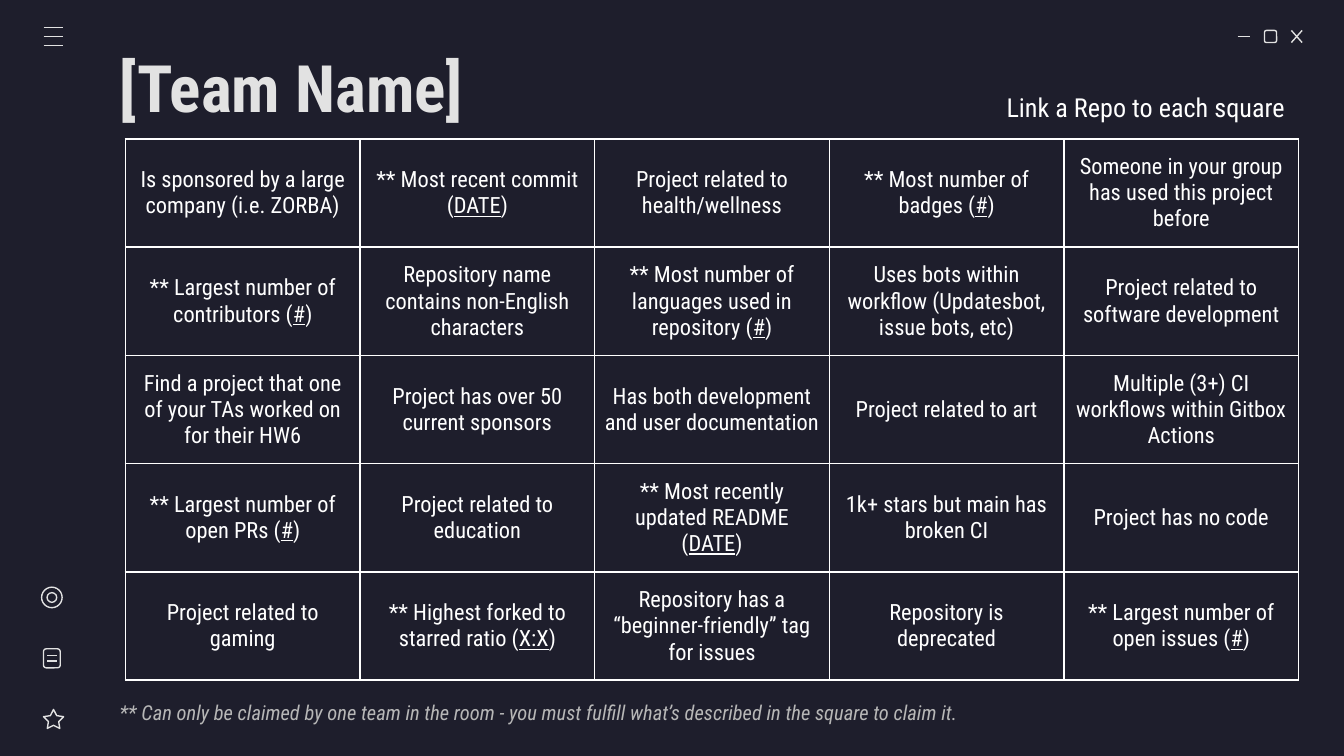
from lxml import etree
from pptx import Presentation
from pptx.dml.color import RGBColor
from pptx.enum.shapes import MSO_CONNECTOR, MSO_SHAPE
from pptx.enum.text import MSO_ANCHOR, PP_ALIGN
from pptx.oxml.ns import qn
from pptx.util import Pt

LINE = MSO_CONNECTOR.STRAIGHT
OVAL, ROUND, STAR = MSO_SHAPE.OVAL, MSO_SHAPE.ROUNDED_RECTANGLE, MSO_SHAPE.STAR_5_POINT
LEFT, MID, RIGHT = PP_ALIGN.LEFT, PP_ALIGN.CENTER, PP_ALIGN.RIGHT
FONT = "Roboto Condensed"
DARK, PALE, WHITE, GREY = "1E1E2C", "E2E2E2", "FFFFFF", "B7B7B7"

# Underscores enclose the underlined part
GOALS = [
    ["Is sponsored by a large company (i.e. ZORBA)",
     "** Most recent commit (_DATE_)",
     "Project related to health/wellness",
     "** Most number of badges (_#_)",
     "Someone in your group has used this project before"],
    ["** Largest number of contributors (_#_)",
     "Repository name contains non-English characters",
     "** Most number of languages used in repository (_#_)",
     "Uses bots within workflow (Updatesbot, issue bots, etc)",
     "Project related to software development"],
    ["Find a project that one of your TAs worked on for their HW6",
     "Project has over 50 current sponsors",
     "Has both development and user documentation",
     "Project related to art",
     "Multiple (3+) CI workflows within Gitbox Actions"],
    ["** Largest number of open PRs (_#_)",
     "Project related to education",
     "** Most recently updated README (_DATE_)",
     "1k+ stars but main has broken CI",
     "Project has no code"],
    ["Project related to gaming",
     "** Highest forked to starred ratio (_X:X_)",
     "Repository has a “beginner-friendly” tag for issues",
     "Repository is deprecated",
     "** Largest number of open issues (_#_)"],
]


def color(code):
    return RGBColor.from_string(code)


def style(para, size, code, align=LEFT, bold=False, italic=False):
    para.alignment = align
    font = para.font
    font.name, font.size, font.bold, font.italic = FONT, Pt(size), bold, italic
    font.color.rgb = color(code)


def stroke(slide, x1, y1, x2, y2):
    line = slide.shapes.add_connector(LINE, Pt(x1), Pt(y1), Pt(x2), Pt(y2))
    line.line.color.rgb = color(PALE)
    line.line.width = Pt(0.75)
    etree.SubElement(line._element.spPr, qn("a:effectLst"))


def outline(slide, kind, x, y, w, h):
    shape = slide.shapes.add_shape(kind, Pt(x), Pt(y), Pt(w), Pt(h))
    shape.shadow.inherit = False
    shape.fill.background()
    shape.line.color.rgb = color(PALE)
    shape.line.width = Pt(0.75)
    return shape


def label(slide, text, x, y, w, h, *look, **flags):
    frame = slide.shapes.add_textbox(Pt(x), Pt(y), Pt(w), Pt(h)).text_frame
    frame.word_wrap = True
    frame.margin_left = frame.margin_right = Pt(7.2)
    frame.margin_top = frame.margin_bottom = Pt(7.2)
    frame.text = text
    style(frame.paragraphs[0], *look, **flags)


def title(slide, text, x, y, w, h):
    shape = slide.shapes.title
    shape.left, shape.top, shape.width, shape.height = Pt(x), Pt(y), Pt(w), Pt(h)
    frame = shape.text_frame
    frame.text = text
    frame.vertical_anchor = MSO_ANCHOR.MIDDLE
    frame.margin_left = frame.margin_right = Pt(7.2)
    frame.margin_top = frame.margin_bottom = Pt(7.2)
    style(frame.paragraphs[0], 35, PALE, bold=True)


def window(slide, x, y):
    # Minimize, maximize, close
    stroke(slide, x, y + 3.2, x + 6.5, y + 3.2)
    outline(slide, ROUND, x + 14.4, y, 6.5, 6.5)
    stroke(slide, x + 28.8, y, x + 34.6, y + 6.5)
    stroke(slide, x + 34.6, y, x + 28.8, y + 6.5)


def menu(slide, x, y, w, gap):
    for i in range(3):
        stroke(slide, x, y + i * gap, x + w, y + i * gap)


def tools(slide, x, y):
    # Target, page, star
    outline(slide, OVAL, x, y, 11, 11)
    outline(slide, OVAL, x + 2.9, y + 2.9, 5.2, 5.2)
    outline(slide, ROUND, x + 1, y + 33, 9, 10.2)
    for dy in (36.7, 39.6):
        stroke(slide, x + 3, y + dy, x + 8, y + dy)
    star = outline(slide, STAR, x + 1, y + 65.5, 10.8, 10.2)
    star.adjustments[0] = 0.254


def border(cell):
    props = cell._tc.get_or_add_tcPr()
    for i, side in enumerate(("lnL", "lnR", "lnT", "lnB")):
        edge = etree.Element(qn("a:" + side), w=str(Pt(1)))
        fill = etree.SubElement(edge, qn("a:solidFill"))
        etree.SubElement(fill, qn("a:srgbClr"), val=WHITE)
        props.insert(i, edge)


def board(slide, goals, x, y, w, h):
    rows, cols = len(goals), len(goals[0])
    table = slide.shapes.add_table(rows, cols, Pt(x), Pt(y), Pt(w), Pt(h)).table
    table.first_row = table.horz_banding = False
    for col in table.columns:
        col.width = Pt(w / cols)
    for row, texts in zip(table.rows, goals):
        row.height = Pt(h / rows)
        for cell, text in zip(row.cells, texts):
            cell.fill.background()
            border(cell)
            cell.vertical_anchor = MSO_ANCHOR.MIDDLE
            cell.margin_left = cell.margin_right = Pt(5)
            cell.margin_top = cell.margin_bottom = Pt(5)
            para = cell.text_frame.paragraphs[0]
            style(para, 12, WHITE, MID)
            for i, part in enumerate(text.split("_")):
                run = para.add_run()
                run.text = part
                if i % 2:
                    run.font.underline = True


deck = Presentation()
deck.slide_width, deck.slide_height = Pt(720), Pt(405)
slide = deck.slides.add_slide(deck.slide_layouts[5])
slide.background.fill.solid()
slide.background.fill.fore_color.rgb = color(DARK)

# Frame icons
window(slide, 663, 16.3)
menu(slide, 23.4, 14.8, 10.6, 4.8)
tools(slide, 22.3, 314.6)

# Bingo board and its texts
title(slide, "[Team Name]", 57, 24, 607, 45)
board(slide, GOALS, 67.2, 74.4, 628.5, 290)
label(slide, "Link a Repo to each square", 520.5, 42, 175, 31.5, 14, WHITE, RIGHT)
label(slide, "** Can only be claimed by one team in the room - you must fulfill "
      "what’s described in the square to claim it.",
      57, 368.5, 464.5, 28, 11, GREY, italic=True)

deck.save("out.pptx")
